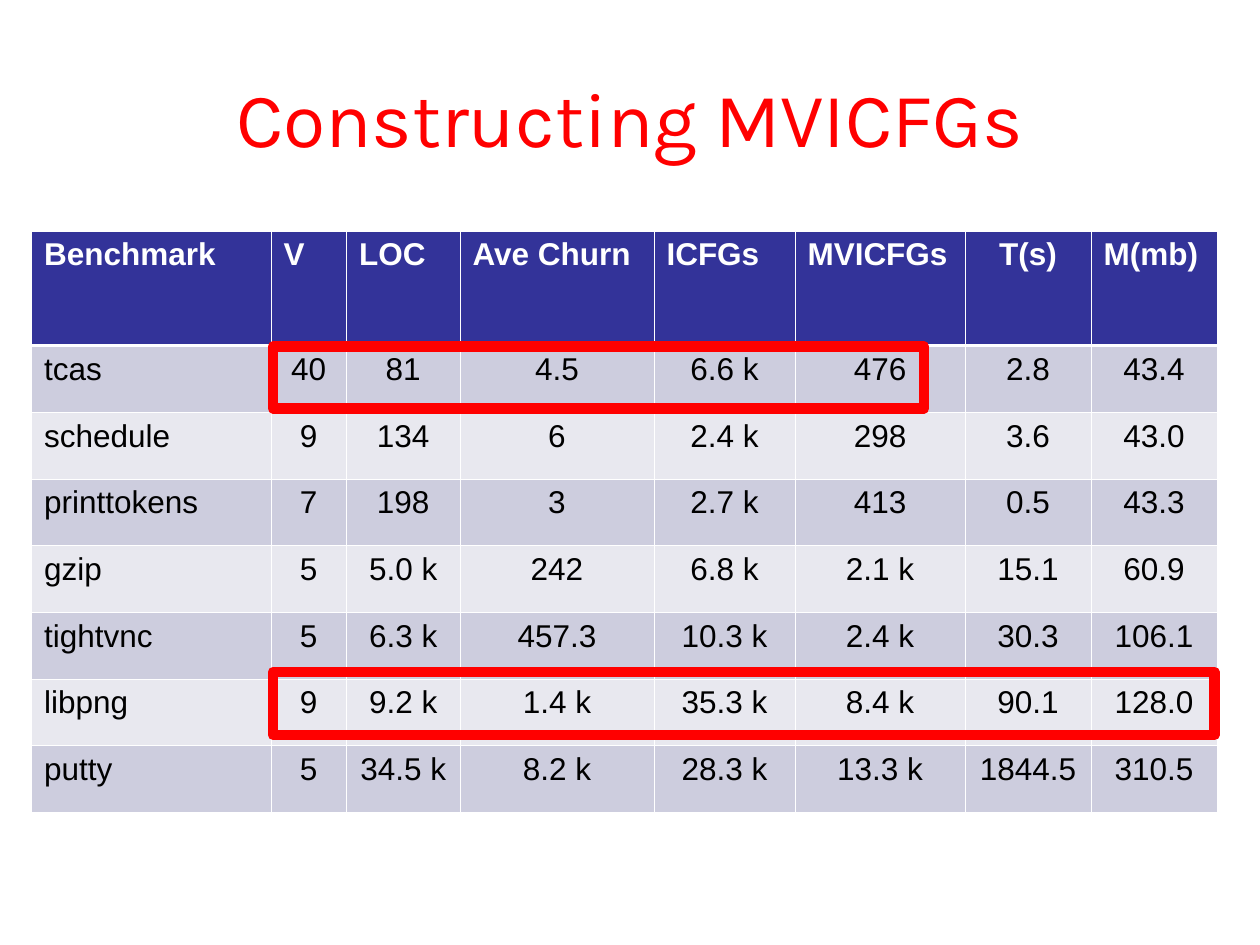
from lxml.etree import SubElement
from pptx import Presentation
from pptx.dml.color import RGBColor
from pptx.enum.shapes import MSO_SHAPE
from pptx.enum.text import MSO_ANCHOR, PP_ALIGN
from pptx.oxml.ns import qn
from pptx.util import Pt

RED, WHITE, BLACK = "FF0000", "FFFFFF", "000000"
NAVY, BANDS = "333399", ("E8E8EF", "CDCDDE")
THIN, THICK = 0.45, 1.47
TITLE = {"name": "Karla", "size": Pt(44), "bold": False}
HEAD = {"name": "Arial", "size": Pt(18), "bold": True}
BODY = {**HEAD, "bold": False}

WIDTHS = [136.8, 43.2, 64.8, 110.9, 80.6, 97.2, 72, 72]
HEAD_TALL, ROW_TALL = 65.5, 38.1
ROWS = [
    ["Benchmark", "V", "LOC", "Ave Churn", "ICFGs", "MVICFGs", "T(s)", "M(mb)"],
    ["tcas", "40", "81", "4.5", "6.6 k", "476", "2.8", "43.4"],
    ["schedule", "9", "134", "6", "2.4 k", "298", "3.6", "43.0"],
    ["printtokens", "7", "198", "3", "2.7 k", "413", "0.5", "43.3"],
    ["gzip", "5", "5.0 k", "242", "6.8 k", "2.1 k", "15.1", "60.9"],
    ["tightvnc", "5", "6.3 k", "457.3", "10.3 k", "2.4 k", "30.3", "106.1"],
    ["libpng", "9", "9.2 k", "1.4 k", "35.3 k", "8.4 k", "90.1", "128.0"],
    ["putty", "5", "34.5 k", "8.2 k", "28.3 k", "13.3 k", "1844.5", "310.5"],
]


def paint(color, shade):
    color.rgb = RGBColor.from_string(shade)


def write(frame, text, look, shade, align):
    para = frame.paragraphs[0]
    para.alignment = align
    run = para.add_run()
    run.text = text
    for key, value in look.items():
        setattr(run.font, key, value)
    paint(run.font.color, shade)


def add_title(slide, text):
    title = slide.shapes.title
    place = {"left": 36, "top": 21.6, "width": 648, "height": 90}
    for key, value in place.items():
        setattr(title, key, Pt(value))
    title.text_frame.vertical_anchor = MSO_ANCHOR.MIDDLE
    write(title.text_frame, text, TITLE, RED, PP_ALIGN.CENTER)


def edge(cell, sides):
    props = cell._tc.get_or_add_tcPr()
    for side, width in sides.items():
        line = SubElement(props, qn(f"a:ln{side}"), w=str(Pt(width)))
        fill = SubElement(line, qn("a:solidFill"))
        SubElement(fill, qn("a:srgbClr"), val=WHITE)


def fill_cell(cell, text, row, col):
    head = row == 0
    edge(cell, {"L": THIN, "R": THIN,
                "T": THICK if row == 1 else THIN,
                "B": THICK if head else THIN})
    cell.fill.solid()
    paint(cell.fill.fore_color, NAVY if head else BANDS[row % 2])
    mid = col == 6 if head else col > 0
    write(cell.text_frame, text, HEAD if head else BODY,
          WHITE if head else BLACK, PP_ALIGN.CENTER if mid else PP_ALIGN.LEFT)


def add_grid(slide, left, top):
    talls = [HEAD_TALL] + [ROW_TALL] * (len(ROWS) - 1)
    grid = slide.shapes.add_table(
        len(ROWS), len(WIDTHS), Pt(left), Pt(top),
        Pt(sum(WIDTHS)), Pt(sum(talls))).table
    for col, width in zip(grid.columns, WIDTHS):
        col.width = Pt(width)
    for row, tall in zip(grid.rows, talls):
        row.height = Pt(tall)
    for r, texts in enumerate(ROWS):
        for c, text in enumerate(texts):
            fill_cell(grid.cell(r, c), text, r, c)


def add_frame(slide, left, top, width, height):
    box = slide.shapes.add_shape(
        MSO_SHAPE.RECTANGLE, Pt(left), Pt(top), Pt(width), Pt(height))
    box.shadow.inherit = False
    box.fill.background()
    box.line.width = Pt(6)
    paint(box.line.color, RED)


def main():
    deck = Presentation()
    deck.slide_width, deck.slide_height = Pt(720), Pt(540)
    slide = deck.slides.add_slide(deck.slide_layouts[5])
    add_title(slide, "Constructing MVICFGs")
    add_grid(slide, 18, 132)
    add_frame(slide, 156, 198, 372, 35.5)
    add_frame(slide, 156, 384, 538, 36)
    deck.save("out.pptx")


if __name__ == "__main__":
    main()
